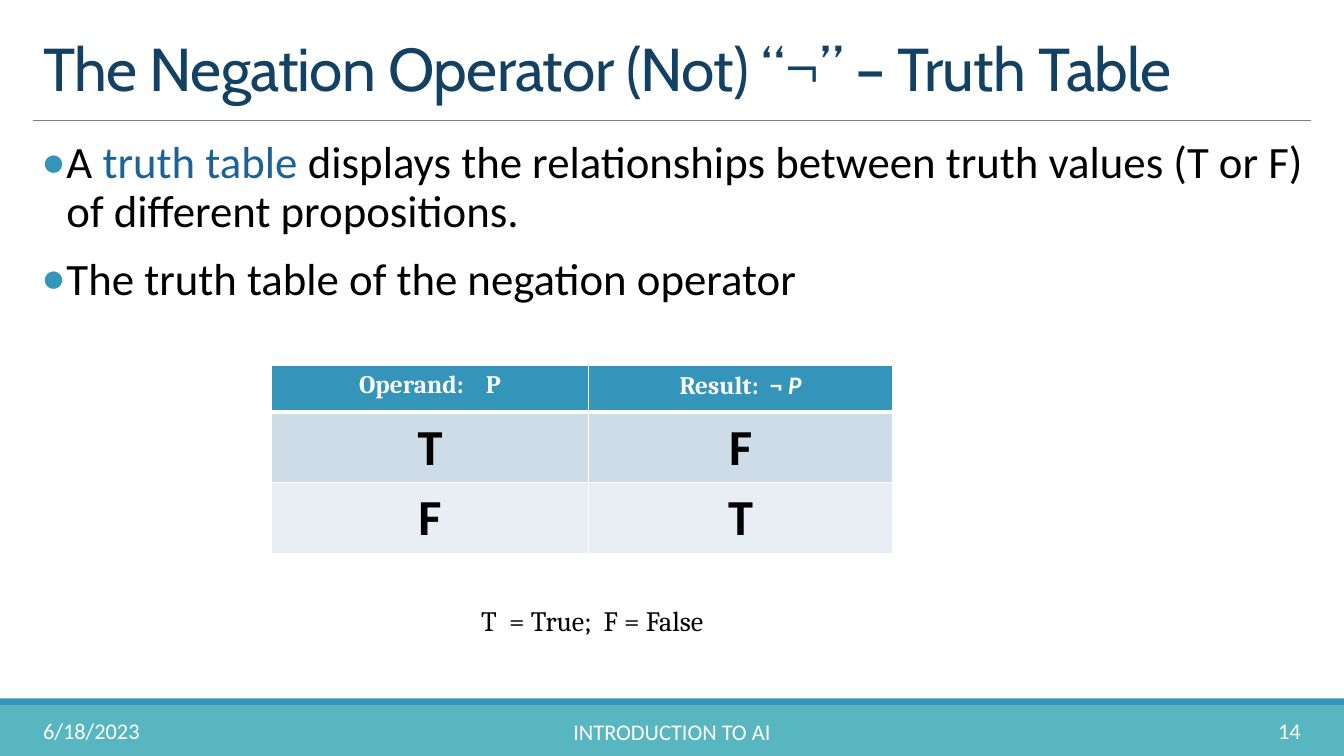
from lxml.etree import SubElement
from pptx import Presentation
from pptx.dml.color import RGBColor
from pptx.enum.shapes import MSO_CONNECTOR as CONNECTOR, MSO_SHAPE as SHAPE
from pptx.enum.text import MSO_ANCHOR as ANCHOR, MSO_AUTO_SIZE as AUTO_SIZE, PP_ALIGN as ALIGN
from pptx.oxml.ns import qn
from pptx.util import Inches, Pt

WHITE, BLACK, BLUE = "FFFFFF", "000000", "3494BA"


def color(hex_code):
    return RGBColor.from_string(hex_code)


def format_span(span, size, font, hex_code, bold=False, italic=False):
    span.font.size = Pt(size)
    span.font.name = font
    span.font.color.rgb = color(hex_code)
    span.font.bold = bold
    span.font.italic = italic


def add_span(para, text, *style):
    span = para.add_run()
    span.text = text
    format_span(span, *style)


def add_text_box(slide, box, anchor=ANCHOR.TOP):
    frame = slide.shapes.add_textbox(*map(Inches, box)).text_frame
    frame.word_wrap = True
    frame.vertical_anchor = anchor
    return frame


def add_line_of_text(slide, box, text, align, style, anchor=ANCHOR.MIDDLE):
    para = add_text_box(slide, box, anchor).paragraphs[0]
    para.alignment = align
    add_span(para, text, *style)


# Title and the rule below it
def add_title(slide, box, text):
    left, top, width, height = box
    title = slide.shapes.title
    title.left, title.top, title.width, title.height = map(Inches, box)
    frame = title.text_frame
    frame.text = text
    frame.auto_size = AUTO_SIZE.NONE
    frame.vertical_anchor = ANCHOR.BOTTOM
    para = frame.paragraphs[0]
    para.alignment = ALIGN.LEFT
    para.line_spacing = 0.85
    span = para.runs[0]
    format_span(span, 43.2, "Cabin", "134163")
    span.font._element.set("spc", "-50")

    rule_top = Inches(top + height + 0.11)
    rule = slide.shapes.add_connector(
        CONNECTOR.STRAIGHT, Inches(left), rule_top, Inches(left + width), rule_top)
    rule.line.color.rgb = color("808080")
    rule.line.width = Pt(0.5)
    SubElement(rule._element.spPr, qn("a:effectLst"))


# Bulleted text, each item a list of (text, colour) spans
def add_bullets(slide, box, items):
    frame = add_text_box(slide, box)
    frame.margin_left = frame.margin_right = 0
    for index, item in enumerate(items):
        para = frame.add_paragraph() if index else frame.paragraphs[0]
        para.line_spacing = 0.9
        para.space_before, para.space_after = Pt(12), Pt(2)
        props = para._p.get_or_add_pPr()
        props.set("marL", str(Inches(0.33)))
        props.set("indent", str(Inches(-0.25)))
        SubElement(SubElement(props, qn("a:buClr")), qn("a:srgbClr"), val=BLUE)
        SubElement(props, qn("a:buSzPct"), val="110000")
        SubElement(props, qn("a:buFont"), typeface="Calibri")
        SubElement(props, qn("a:buChar"), char="•")
        for text, hex_code in item:
            add_span(para, text, 32, "Calibri", hex_code)


def set_borders(cell, widths):
    props = cell._tc.get_or_add_tcPr()
    for index, (side, width) in enumerate(widths.items()):
        line = props.makeelement(qn(f"a:ln{side}"), {"w": str(Pt(width))})
        SubElement(SubElement(line, qn("a:solidFill")), qn("a:srgbClr"), val=WHITE)
        props.insert(index, line)


# Truth table with its key below
def add_truth_table(slide, box, headers, rows):
    left, top, width, height = box
    header_height = 0.46
    table = slide.shapes.add_table(
        len(rows) + 1, len(headers), *map(Inches, box)).table
    for column, column_width in zip(table.columns, (3.15, width - 3.15)):
        column.width = Inches(column_width)
    for index, row in enumerate(table.rows):
        row.height = Inches((height - header_height) / len(rows) if index else header_height)

    value_style = (36, "Calibri", BLACK, True)
    body = [[[(value, value_style)] for value in row] for row in rows]
    fills = (BLUE, "CEDCE7", "E8EEF3")
    for row_index, row in enumerate([headers] + body):
        for column_index, spans in enumerate(row):
            cell = table.cell(row_index, column_index)
            cell.fill.solid()
            cell.fill.fore_color.rgb = color(fills[row_index])
            set_borders(cell, {"L": 1, "R": 1, "T": 3 if row_index == 1 else 1,
                               "B": 1 if row_index else 3})
            para = cell.text_frame.paragraphs[0]
            para.alignment = ALIGN.CENTER
            for text, style in spans:
                add_span(para, text, *style)

    add_line_of_text(slide, (left + 1.93, top + height + 0.45, 2.51, 0.44),
                     "T  = True;  F = False", ALIGN.CENTER,
                     (20, "Cambria", BLACK), ANCHOR.TOP)


# Footer band with date, course and page number
def add_footer(slide, box, date, course, number):
    left, top, width, height = box
    stripe = 0.07
    for band_top, band_height, fill in ((top + stripe, height - stripe, "58B6C0"),
                                        (top, stripe, BLUE)):
        band = slide.shapes.add_shape(
            SHAPE.RECTANGLE, *map(Inches, (left, band_top, width, band_height)))
        band.shadow.inherit = False
        band.fill.solid()
        band.fill.fore_color.rgb = color(fill)
        band.line.fill.background()
    for offset, drop, text_width, text, align in (
            (0.33, 0.12, 2.7, date, ALIGN.LEFT),
            (4.03, 0.13, 5.27, course, ALIGN.CENTER),
            (11.57, 0.12, 1.43, number, ALIGN.RIGHT)):
        add_line_of_text(slide, (left + offset, top + drop, text_width, 0.4),
                         text, align, (16, "Calibri", WHITE))


def main():
    deck = Presentation()
    deck.slide_width, deck.slide_height = Inches(13.33), Inches(7.5)
    slide = deck.slides.add_slide(deck.slide_layouts.get_by_name("Title Only"))

    add_footer(slide, (0, 6.93, 13.33, 0.57), "6/18/2023", "INTRODUCTION TO AI", "14")
    add_title(slide, (0.33, 0.31, 12.67, 0.77),
              "The Negation Operator (Not) “¬” – Truth Table")
    add_bullets(slide, (0.33, 1.34, 12.67, 5.49), [
        [("A ", BLACK), ("truth table ", "1D6294"),
         ("displays the relationships between truth values (T or F) "
          "of different propositions.", BLACK)],
        [("The truth table of the negation operator", BLACK)],
    ])
    serif = (18, "Cambria", WHITE, True)
    sans = (18, "Calibri", WHITE, True)
    headers = [[("Operand:    P", serif)],
               [("Result:  ", serif), ("¬ ", sans), ("P", sans + (True,))]]
    add_truth_table(slide, (2.69, 3.63, 6.16, 1.86), headers, ["TF", "FT"])
    deck.save("out.pptx")


if __name__ == "__main__":
    main()
